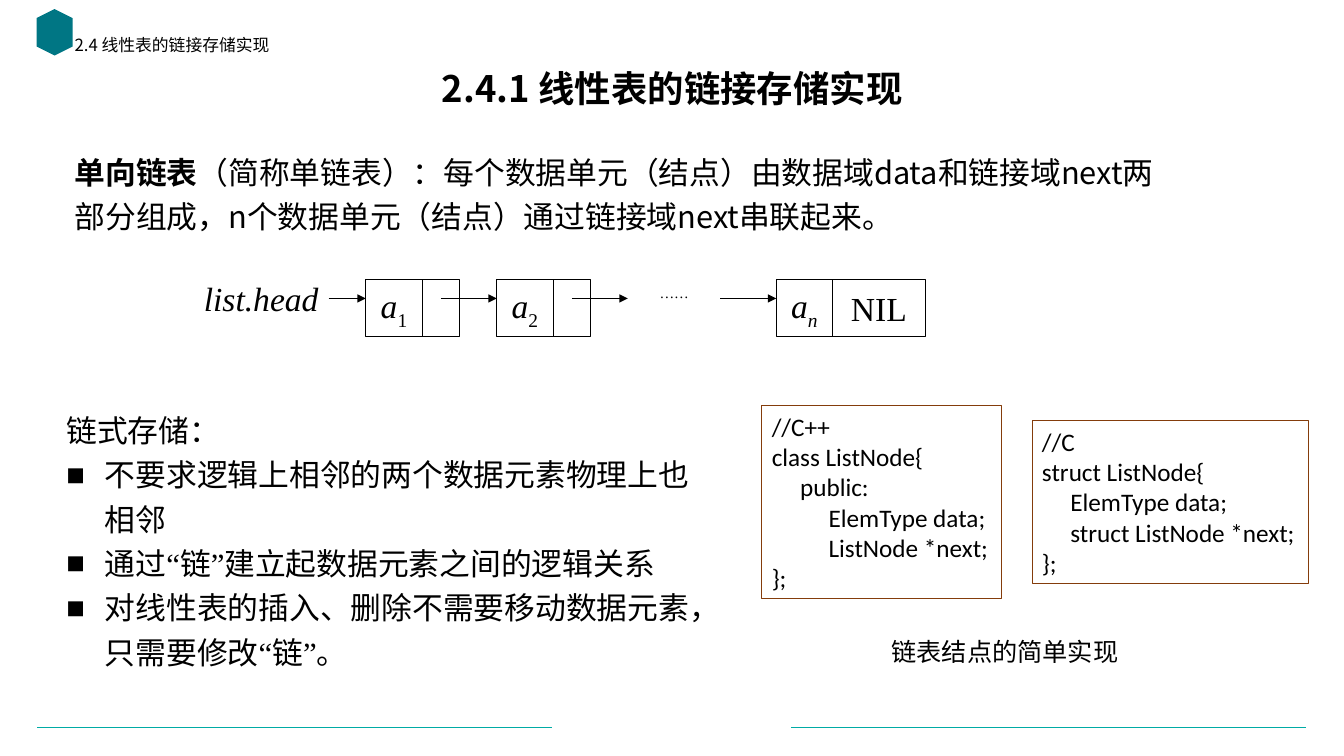
from lxml.etree import SubElement
from pptx import Presentation
from pptx.dml.color import RGBColor
from pptx.enum.shapes import MSO_CONNECTOR, MSO_SHAPE
from pptx.enum.text import MSO_ANCHOR, MSO_AUTO_SIZE, PP_ALIGN
from pptx.oxml.ns import qn
from pptx.util import Cm, Pt

SANS, SERIF, LATIN = "Noto Sans CJK SC", "Times New Roman", "Calibri"
BLACK, TEAL, DARK_TEAL, BROWN = "000000", "00ABA5", "007684", "843C0B"


def rgb(value):
    return RGBColor.from_string(value)


def style_run(run, size, name, bold=False, italic=False, baseline=None):
    """Format a run; the font is also set for East Asian characters."""
    font = run.font
    font.size, font.name, font.bold, font.italic = Pt(size), name, bold, italic
    font.color.rgb = rgb(BLACK)
    properties = run._r.get_or_add_rPr()
    SubElement(properties, qn("a:ea")).set("typeface", name)
    if baseline is not None:
        properties.set("baseline", str(baseline * 1000))


def add_styled_run(paragraph, text, size, name, **style):
    run = paragraph.add_run()
    run.text = text
    style_run(run, size, name, **style)


def style_text(text_frame, size, name, **style):
    for paragraph in text_frame.paragraphs:
        for run in paragraph.runs:
            style_run(run, size, name, **style)


def set_bullet(paragraph, character=None, indent=0):
    properties = paragraph._p.get_or_add_pPr()
    properties.set("marL", str(Cm(indent)))
    properties.set("indent", str(-Cm(indent)))
    if character:
        SubElement(properties, qn("a:buChar")).set("char", character)
    else:
        SubElement(properties, qn("a:buNone"))


def place(shape, left, top, width, height):
    shape.left, shape.top = Cm(left), Cm(top)
    shape.width, shape.height = Cm(width), Cm(height)


def prepare_placeholder(shape, box, anchor):
    place(shape, *box)
    text_frame = shape.text_frame
    text_frame.auto_size = MSO_AUTO_SIZE.NONE
    text_frame.word_wrap = True
    text_frame.vertical_anchor = anchor
    return text_frame


def add_text(slide, box, text, size, name, align=PP_ALIGN.LEFT,
             anchor=MSO_ANCHOR.TOP, wrap=True, **style):
    text_frame = slide.shapes.add_textbox(*map(Cm, box)).text_frame
    text_frame.word_wrap = wrap
    text_frame.vertical_anchor = anchor
    text_frame.text = text
    text_frame.paragraphs[0].alignment = align
    style_text(text_frame, size, name, **style)


def add_rectangle(slide, box, line):
    shape = slide.shapes.add_shape(MSO_SHAPE.RECTANGLE, *map(Cm, box))
    shape.shadow.inherit = False
    shape.fill.background()
    shape.line.color.rgb = rgb(line)
    shape.line.width = Pt(0.75)
    return shape


def add_horizontal_line(slide, left, top, length, color, width, arrow=False):
    connector = slide.shapes.add_connector(
        MSO_CONNECTOR.STRAIGHT, Cm(left), Cm(top), Cm(left + length), Cm(top))
    connector.line.color.rgb = rgb(color)
    connector.line.width = Pt(width)
    if arrow:
        SubElement(connector.line._get_or_add_ln(), qn("a:tailEnd")).set("type", "triangle")
    SubElement(connector._element.spPr, qn("a:effectLst"))


def add_decoration(slide):
    for left in (0.94, 19.94):
        add_horizontal_line(slide, left, 18.34, 12.98, TEAL, 0.5)
    hexagon = slide.shapes.add_shape(MSO_SHAPE.HEXAGON, Cm(0.79), Cm(0.36), Cm(1.17), Cm(0.91))
    hexagon.rotation = 90
    hexagon.shadow.inherit = False
    hexagon.line.fill.background()
    hexagon.fill.solid()
    hexagon.fill.fore_color.rgb = rgb(DARK_TEAL)


def fill_headings(slide):
    text_frame = prepare_placeholder(slide.shapes.title, (2.34, 1.57, 29.21, 1.45),
                                     MSO_ANCHOR.MIDDLE)
    text_frame.text = "2.4.1 线性表的链接存储实现"
    text_frame.paragraphs[0].alignment = PP_ALIGN.CENTER
    text_frame.paragraphs[0].line_spacing = 0.9
    style_text(text_frame, 26, SANS, bold=True)
    add_text(slide, (1.63, 0.76, 13.51, 0.91), "2.4 线性表的链接存储实现", 12, SANS)


def fill_definition(placeholder, box):
    paragraph = prepare_placeholder(placeholder, box, MSO_ANCHOR.TOP).paragraphs[0]
    paragraph.line_spacing = 1.2
    paragraph.space_before = Pt(0)
    set_bullet(paragraph)
    add_styled_run(paragraph, "单向链表", 22, SANS, bold=True)
    add_styled_run(paragraph, "（简称单链表）：每个数据单元（结点）由数据域data和链接域next两部分组成，"
                   "n个数据单元（结点）通过链接域next串联起来。", 22, SANS)


def fill_features(placeholder, box):
    text_frame = prepare_placeholder(placeholder, box, MSO_ANCHOR.TOP)
    lines = ["链式存储：",
             "不要求逻辑上相邻的两个数据元素物理上也相邻",
             "通过|“|链|”|建立起数据元素之间的逻辑关系",
             "对线性表的插入、删除不需要移动数据元素，只需要修改|“|链|”|。"]
    for index, line in enumerate(lines):
        paragraph = text_frame.add_paragraph() if index else text_frame.paragraphs[0]
        paragraph.line_spacing = 1.2
        paragraph.space_before = Pt(0)
        set_bullet(paragraph, "■" if index else None, 0.97 if index else 0)
        for part in line.split("|"):
            add_styled_run(paragraph, part, 22, SERIF if part in "“”" else LATIN)


def draw_cell(slide, box, text="", subscript="", italic=True, subscript_italic=False):
    text_frame = add_rectangle(slide, box, BLACK).text_frame
    text_frame.margin_left = text_frame.margin_right = 0
    paragraph = text_frame.paragraphs[0]
    paragraph.alignment = PP_ALIGN.CENTER
    if text:
        add_styled_run(paragraph, text, 24, SERIF, italic=italic)
    if subscript:
        add_styled_run(paragraph, subscript, 24, SERIF, italic=subscript_italic, baseline=-25)


def draw_linked_list(slide, left, top):
    height, data_width, link_width, nil_width = 1.45, 1.42, 0.94, 2.34
    first, pitch, last, arrow_length = left + 4.6, 3.3, left + 14.94, 1.41
    cell_top, arrow_top = top + 0.26, top + 0.74
    add_text(slide, (left, top, 3.66, height), "list.head", 24, SERIF,
             PP_ALIGN.RIGHT, MSO_ANCHOR.MIDDLE, italic=True)
    add_horizontal_line(slide, first - link_width, arrow_top, link_width, BLACK, 0.75, True)
    for index in range(2):
        node = first + index * pitch
        draw_cell(slide, (node, cell_top, data_width, height), "a", str(index + 1))
        draw_cell(slide, (node + data_width, cell_top, link_width, height))
        add_horizontal_line(slide, node + pitch - arrow_length, arrow_top,
                            arrow_length, BLACK, 0.75, True)
    add_text(slide, (first + 2 * pitch, cell_top, nil_width, height), "……", 10.5, SERIF,
             PP_ALIGN.CENTER)
    add_horizontal_line(slide, last - arrow_length, arrow_top, arrow_length, BLACK, 0.75, True)
    draw_cell(slide, (last, cell_top, data_width, height), "a", "n", subscript_italic=True)
    draw_cell(slide, (last + data_width, cell_top, nil_width, height), "NIL", italic=False)


def add_code(slide, box, code):
    text_frame = add_rectangle(slide, box, BROWN).text_frame
    text_frame.word_wrap = False
    text_frame.text = code
    for paragraph in text_frame.paragraphs:
        paragraph.alignment = PP_ALIGN.LEFT
    style_text(text_frame, 18, LATIN)


def main():
    presentation = Presentation()
    presentation.slide_width, presentation.slide_height = Cm(33.87), Cm(19.05)
    slide = presentation.slides.add_slide(presentation.slide_layouts[3])
    add_decoration(slide)
    fill_headings(slide)
    fill_definition(slide.placeholders[1], (1.63, 3.56, 28.37, 3.99))
    draw_linked_list(slide, 4.62, 6.78)
    fill_features(slide.placeholders[2], (1.42, 10.06, 16.64, 6.93))
    add_code(slide, (19.2, 10.21, 6.05, 4.88),
             "//C++\nclass ListNode{\n     public:\n          ElemType data;\n"
             "          ListNode *next;\n};")
    add_code(slide, (26.01, 10.59, 6.96, 4.11),
             "//C\nstruct ListNode{\n     ElemType data;\n     struct ListNode *next;\n};")
    add_text(slide, (22.22, 15.9, 6.27, 1.02), "链表结点的简单实现", 18, SANS, wrap=False)
    presentation.save("out.pptx")


if __name__ == "__main__":
    main()
